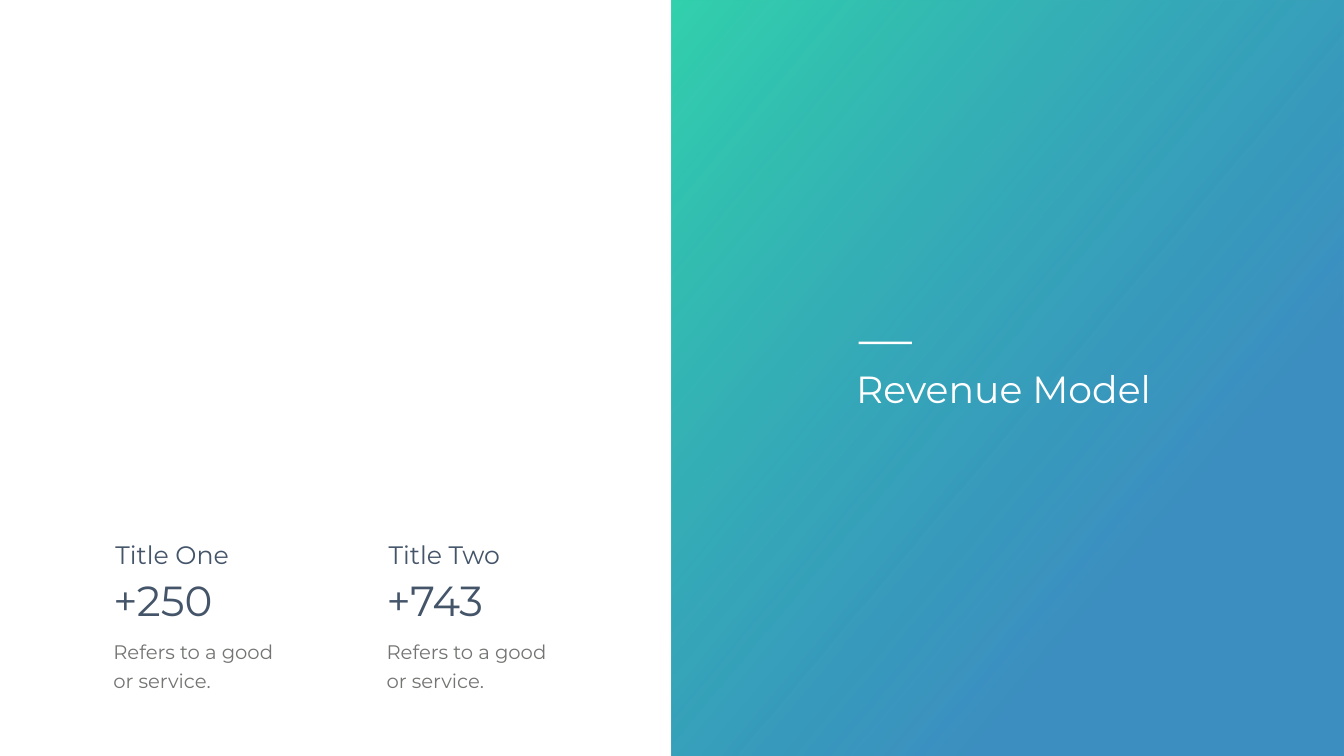
from dataclasses import dataclass

from lxml import etree
from pptx import Presentation
from pptx.dml.color import RGBColor
from pptx.enum.shapes import MSO_SHAPE
from pptx.enum.text import MSO_ANCHOR, MSO_AUTO_SIZE, PP_ALIGN
from pptx.oxml.ns import qn
from pptx.shapes.autoshape import Shape
from pptx.slide import Slide
from pptx.util import Inches, Pt

RECTANGLE = MSO_SHAPE.RECTANGLE
GROW = MSO_AUTO_SIZE.SHAPE_TO_FIT_TEXT
TOP = MSO_ANCHOR.TOP
LEFT = PP_ALIGN.LEFT
TITLE_ONLY = 5


@dataclass(frozen=True)
class Theme:
    font: str = "Montserrat"
    white: str = "FFFFFF"
    heading: str = "445469"
    body: str = "737572"
    gradient_start: str = "33D1AD"
    gradient_end: str = "0D73B2"
    title_size: float = 54
    figure_size: float = 60
    label_size: float = 36
    body_size: float = 28
    body_leading: float = 40.8


@dataclass(frozen=True)
class Metric:
    label: str
    figure: str
    description: str


THEME = Theme()
METRICS = [
    Metric("Title One", "+250", "Refers to a good or service."),
    Metric("Title Two", "+743", "Refers to a good or service."),
]
METRIC_LEFT = 2.15
METRIC_STEP = 5.42


def write_text(box: Shape, text: str, *, size: float, color: str,
               leading: float | None = None, wrap: bool = True) -> None:
    frame = box.text_frame
    frame.word_wrap = wrap
    frame.auto_size = GROW
    frame.vertical_anchor = TOP
    para = frame.paragraphs[0]
    para.alignment = LEFT
    if leading:
        para.line_spacing = Pt(leading)
    span = para.add_run()
    span.text = text
    span.font.name = THEME.font
    span.font.size = Pt(size)
    span.font.color.rgb = RGBColor.from_string(color)


def add_text(page: Slide, left: float, top: float, width: float, height: float,
             text: str, **text_format) -> None:
    box = page.shapes.add_textbox(Inches(left), Inches(top), Inches(width), Inches(height))
    write_text(box, text, **text_format)


def add_rectangle(page: Slide, left: float, top: float, width: float, height: float) -> Shape:
    shape = page.shapes.add_shape(
        RECTANGLE, Inches(left), Inches(top), Inches(width), Inches(height))
    shape.shadow.inherit = False
    shape.line.fill.background()
    return shape


def add_gradient_panel(page: Slide) -> None:
    panel = add_rectangle(page, 13.33, 0, 13.33, 15)
    panel.fill.gradient()
    panel.fill.gradient_angle = 320
    start, end = panel.fill.gradient_stops
    start.position, end.position = 0, 0.73
    start.color.rgb = RGBColor.from_string(THEME.gradient_start)
    end.color.rgb = RGBColor.from_string(THEME.gradient_end)
    end_color = list(panel.element.spPr.iter(qn("a:srgbClr")))[-1]
    etree.SubElement(end_color, qn("a:alpha"), val="80000")


def add_metric(page: Slide, metric: Metric, left: float) -> None:
    add_text(page, left + 0.04, 10.65, 3.58, 0.71, metric.label,
             size=THEME.label_size, color=THEME.heading)
    add_text(page, left, 12.55, 3.43, 1.25, metric.description,
             size=THEME.body_size, color=THEME.body, leading=THEME.body_leading)
    add_text(page, left, 11.35, 2.2, 1.11, metric.figure,
             size=THEME.figure_size, color=THEME.heading, wrap=False)


def add_title(page: Slide, text: str) -> None:
    title = page.shapes.title
    title.left, title.top = Inches(16.88), Inches(7.21)
    title.width, title.height = Inches(6.23), Inches(1.01)
    write_text(title, text, size=THEME.title_size, color=THEME.white)
    page.shapes.element.append(title.element)


def main() -> None:
    deck = Presentation()
    deck.slide_width, deck.slide_height = Inches(26.66), Inches(15)
    page = deck.slides.add_slide(deck.slide_layouts[TITLE_ONLY])
    add_gradient_panel(page)
    for index, metric in enumerate(METRICS):
        add_metric(page, metric, METRIC_LEFT + index * METRIC_STEP)
    add_title(page, "Revenue Model")
    accent = add_rectangle(page, 17.03, 6.78, 1.06, 0.05)
    accent.fill.solid()
    accent.fill.fore_color.rgb = RGBColor.from_string(THEME.white)
    deck.save("out.pptx")


if __name__ == "__main__":
    main()
